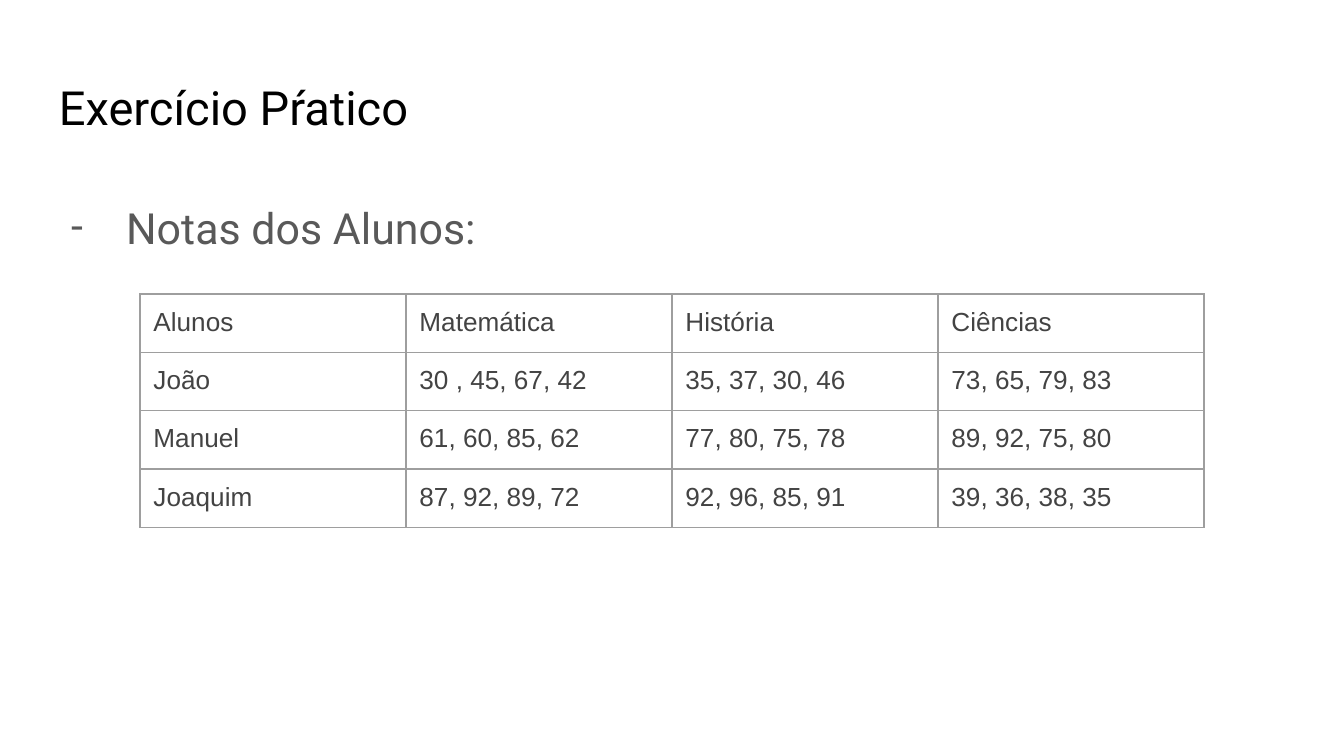
from lxml.etree import SubElement
from pptx import Presentation
from pptx.dml.color import RGBColor
from pptx.enum.text import MSO_ANCHOR as Anchor, PP_ALIGN as Align
from pptx.oxml.ns import qn
from pptx.util import Pt

INSETS = {f"margin_{side}": Pt(7.2) for side in ("left", "right", "top", "bottom")}
TITLE = {"name": "Roboto", "size": Pt(25.2)}
TOPIC = {"name": "Roboto", "size": Pt(23)}
GRADE = {"name": "Arial", "size": Pt(14)}

GRADES = [
    ["Alunos", "Matemática", "História", "Ciências"],
    ["João", "30 , 45, 67, 42", "35, 37, 30, 46", "73, 65, 79, 83"],
    ["Manuel", "61, 60, 85, 62", "77, 80, 75, 78", "89, 92, 75, 80"],
    ["Joaquim", "87, 92, 89, 72", "92, 96, 85, 91", "39, 36, 38, 35"],
]


def rgb(value):
    return RGBColor.from_string(value)


def apply(target, values):
    for key, value in values.items():
        setattr(target, key, value)


def write(frame, words, font, color):
    line = frame.paragraphs[0]
    run = line.add_run()
    run.text = words
    apply(run.font, font)
    run.font.color.rgb = rgb(color)
    return line


def add_text(slide, top, height, words, font, color):
    frame = slide.shapes.add_textbox(Pt(24.5), Pt(top), Pt(671), Pt(height)).text_frame
    apply(frame, {**INSETS, "word_wrap": True, "vertical_anchor": Anchor.TOP})
    return write(frame, words, font, color)


def add_dash(line, color):
    apply(line, {"alignment": Align.JUSTIFY, "line_spacing": 1.15})
    props = line._p.get_or_add_pPr()
    apply_indent = {"marL": Pt(36), "indent": Pt(-29.5)}
    for key, value in apply_indent.items():
        props.set(key, str(int(value)))
    SubElement(SubElement(props, qn("a:buClr")), qn("a:srgbClr"), val=color)
    SubElement(props, qn("a:buFont"), typeface="Roboto")
    SubElement(props, qn("a:buChar"), char="-")


def add_borders(cell, color, width):
    props = cell._tc.get_or_add_tcPr()
    for side in "LRTB":
        border = SubElement(props, qn(f"a:ln{side}"), w=str(int(Pt(width))))
        fill = SubElement(border, qn("a:solidFill"))
        SubElement(fill, qn("a:srgbClr"), val=color)


def add_grades(slide, left, top, column_width, row_height):
    rows, columns = len(GRADES), len(GRADES[0])
    table = slide.shapes.add_table(
        rows, columns, Pt(left), Pt(top),
        Pt(column_width * columns), Pt(row_height * rows),
    ).table
    apply(table, {"first_row": False, "horz_banding": False})
    for row, entries in enumerate(GRADES):
        for column, entry in enumerate(entries):
            cell = table.cell(row, column)
            apply(cell, {**INSETS, "vertical_anchor": Anchor.TOP})
            write(cell.text_frame, entry, GRADE, "434343")
            add_borders(cell, "9E9E9E", 0.75)
            cell.fill.background()


def main():
    deck = Presentation()
    apply(deck, {"slide_width": Pt(720), "slide_height": Pt(405)})
    slide = deck.slides.add_slide(deck.slide_layouts[6])
    add_text(slide, 35, 45, "Exercício Pŕatico", TITLE, "000000")
    topic = add_text(slide, 96.5, 269, "Notas dos Alunos:", TOPIC, "595959")
    add_dash(topic, "595959")
    add_grades(slide, 75, 157.5, 142.5, 30)
    deck.save("out.pptx")


if __name__ == "__main__":
    main()
